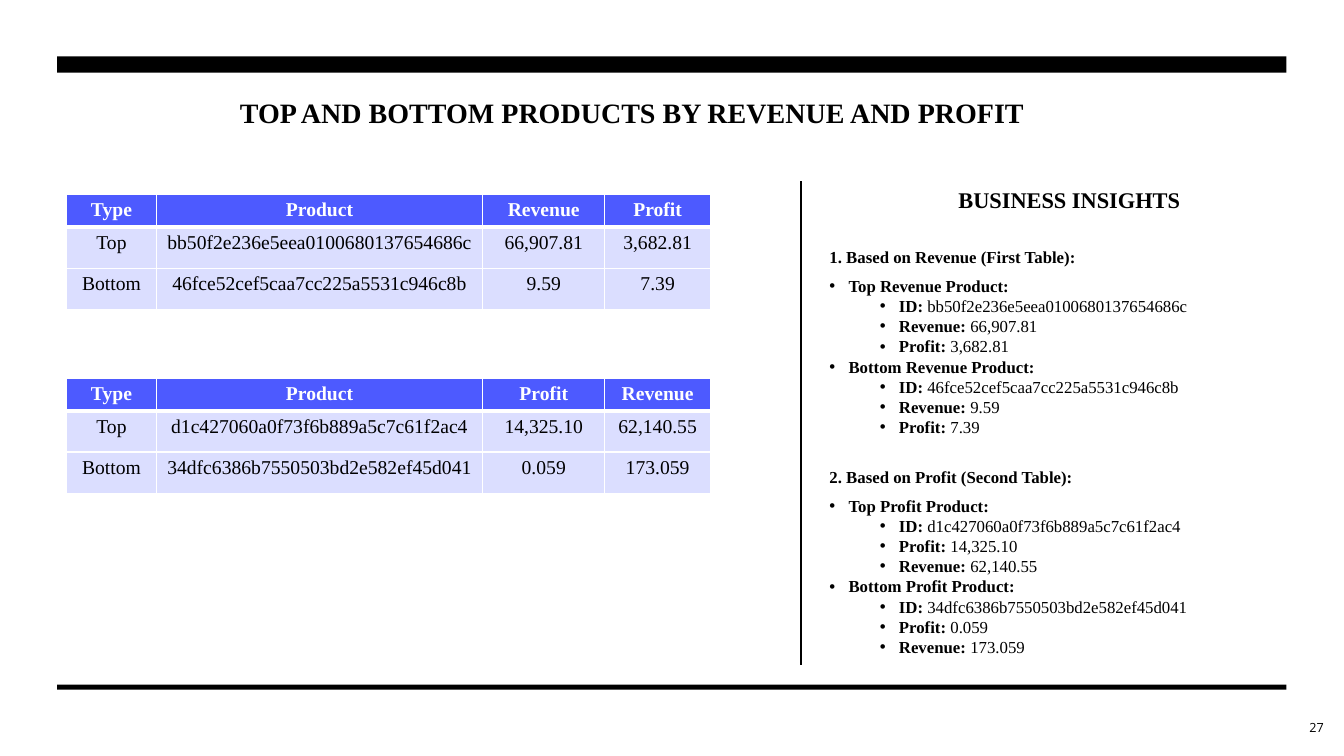
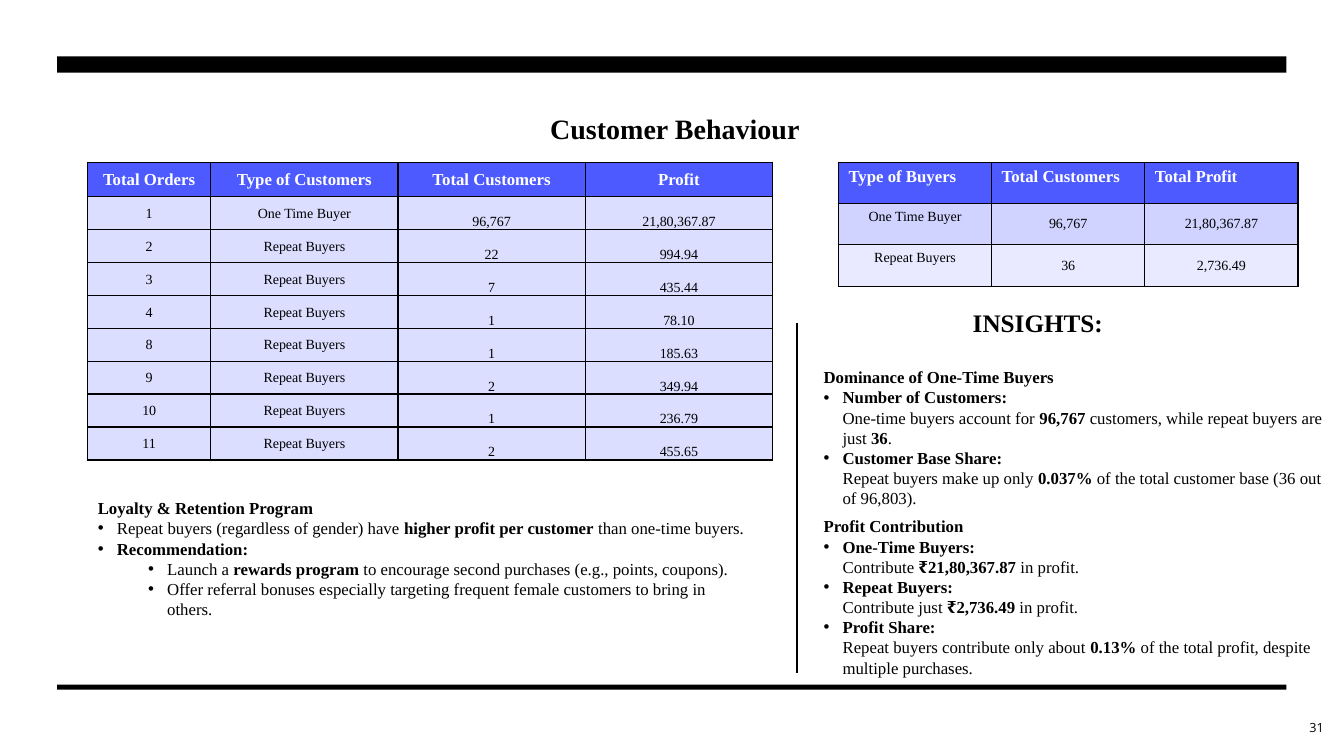
import pptx
import pptx.dml.color
import pptx.enum.shapes
import pptx.enum.text
import pptx.oxml
import pptx.oxml.ns
import pptx.util
from pptx.util import Cm

SERIF = "Times New Roman"
SANS = "Open Sans"
BLACK, WHITE = "000000", "FFFFFF"
HEADER_BLUE, PALE_BLUE = "4D5AFF", "DBDEFF"
STRIPE_DARK, STRIPE_LIGHT = "D0D2FF", "E9EAFF"

ALIGN = pptx.enum.text.PP_ALIGN
ANCHOR = pptx.enum.text.MSO_ANCHOR
COMPARISON_LAYOUT = 4
HEADING, LIST_A, LIST_B, LIST_C = 1, 2, 4, 3  # placeholder indexes of the layout


# Formatting helpers
def rgb(hex_color):
    return pptx.dml.color.RGBColor.from_string(hex_color)


def write(paragraph, text, size=12, color=BLACK, font=SERIF, bold=False, align=ALIGN.LEFT):
    """Write text into a paragraph; **marked** parts are bold, \\n breaks the line."""
    paragraph.alignment = align
    paragraph.space_before = pptx.util.Pt(0)
    for part_number, part in enumerate(text.split("**")):
        for line_number, line in enumerate(part.split("\n")):
            if line_number:
                paragraph.add_line_break()
            if line:
                run = paragraph.add_run()
                run.text = line
                run.font.size = pptx.util.Pt(size)
                run.font.name = font
                run.font.bold = bold or part_number % 2 == 1
                run.font.color.rgb = rgb(color)


def set_bullet(paragraph, level):
    """Level 0 is a plain heading, 1 a bullet, 2 a nested bullet."""
    properties = paragraph._p.get_or_add_pPr()
    margin, hanging = [(0, 0), (0.48, 0.48), (1.75, 0.48)][level]
    properties.set("marL", str(Cm(margin)))
    properties.set("indent", str(-Cm(hanging)))
    if level == 0:
        pptx.oxml.ns.qn("a:buNone")
        bullet = '<a:buNone %s/>'
    else:
        bullet = '<a:buChar %s char="•"/>'
    properties.append(pptx.oxml.parse_xml(bullet % pptx.oxml.ns.nsdecls("a")))


def set_borders(cell, color, widths):
    """Widths are in points, in the order left, right, top, bottom."""
    properties = cell._tc.get_or_add_tcPr()
    for side, width in zip("LRTB", widths):
        properties.append(pptx.oxml.parse_xml(
            f'<a:ln{side} {pptx.oxml.ns.nsdecls("a")} w="{pptx.util.Pt(width)}">'
            f'<a:solidFill><a:srgbClr val="{color}"/></a:solidFill></a:ln{side}>'))


def place(shape, left, top, width, height):
    shape.left, shape.top, shape.width, shape.height = (
        Cm(left), Cm(top), Cm(width), Cm(height))


def prepare_frame(shape, anchor=ANCHOR.TOP):
    frame = shape.text_frame
    frame.word_wrap = True
    frame.auto_size = pptx.enum.text.MSO_AUTO_SIZE.NONE
    frame.vertical_anchor = anchor
    return frame


# Elements of a slide
def fill_heading(placeholder, box, text, size):
    place(placeholder, *box)
    write(prepare_frame(placeholder).paragraphs[0], text, size=size, bold=True)


def fill_list(placeholder, box, items, heading_gap=0):
    place(placeholder, *box)
    frame = prepare_frame(placeholder)
    for number, (level, text) in enumerate(items):
        paragraph = frame.add_paragraph() if number else frame.paragraphs[0]
        write(paragraph, text, bold=level == 0)
        paragraph.space_after = pptx.util.Pt(0 if level else heading_gap)
        paragraph.level = max(level - 1, 0)
        set_bullet(paragraph, level)


def add_divider(slide, x, top, bottom):
    divider = slide.shapes.add_connector(
        pptx.enum.shapes.MSO_CONNECTOR.STRAIGHT, Cm(x), Cm(top), Cm(x), Cm(bottom))
    divider.line.color.rgb = rgb(BLACK)
    divider.line.width = pptx.util.Pt(1.5)
    divider.element.find(pptx.oxml.ns.qn("p:spPr")).append(
        pptx.oxml.parse_xml(f'<a:effectLst {pptx.oxml.ns.nsdecls("a")}/>'))


def add_page_number(slide, number):
    box = slide.shapes.add_textbox(Cm(31.83), Cm(17.83), Cm(1.78), Cm(1.02))
    frame = prepare_frame(box, ANCHOR.MIDDLE)
    write(frame.paragraphs[0], str(number), size=9, font=SANS, align=ALIGN.RIGHT)


def add_data_table(slide, left, top, widths, heights, rows, header_size, body_size,
                   stripes=(PALE_BLUE,), border=BLACK, header_rule=1,
                   header_align=ALIGN.CENTER, header_anchor=ANCHOR.TOP,
                   anchors=(ANCHOR.TOP,) * 4, tight=False):
    table = slide.shapes.add_table(
        len(rows), len(widths), Cm(left), Cm(top), Cm(sum(widths)), Cm(sum(heights))).table
    table.horz_banding = False
    for column, width in zip(table.columns, widths):
        column.width = Cm(width)
    for r, values in enumerate(rows):
        header = r == 0
        table.rows[r].height = Cm(heights[r])
        for c, value in enumerate(values):
            cell = table.cell(r, c)
            set_borders(cell, border, (1, 1, header_rule if r == 1 else 1,
                                       header_rule if header else 1))
            cell.fill.solid()
            cell.fill.fore_color.rgb = rgb(
                HEADER_BLUE if header else stripes[(r - 1) % len(stripes)])
            cell.vertical_anchor = header_anchor if header else anchors[c]
            if tight:
                cell.margin_left = cell.margin_right = cell.margin_top = Cm(0.03)
                cell.margin_bottom = 0
            write(cell.text_frame.paragraphs[0], value,
                  size=header_size if header else body_size,
                  color=WHITE if header else BLACK, bold=header,
                  align=header_align if header else ALIGN.CENTER)


# Shared frame: two black bands on the layout
def add_bands(layout, slide):
    for footer in [p for p in layout.placeholders if p.placeholder_format.idx >= 10]:
        footer.element.getparent().remove(footer.element)
    for top, height in ((1.42, 0.41), (17.25, 0.13)):
        band = slide.shapes.add_shape(
            pptx.enum.shapes.MSO_SHAPE.RECTANGLE, Cm(1.44), Cm(top), Cm(30.98), Cm(height))
        band.shadow.inherit = False
        band.fill.solid()
        band.fill.fore_color.rgb = rgb(BLACK)
        band.line.fill.background()
        layout.shapes.element.append(band.element)


def insight_items(heading, measure, measures, products):
    items = [(0, heading)]
    for rank, _, *values in products:
        items.append((1, f"**{rank} {measure} Product:**"))
        items.append((2, f"**ID:** {_}"))
        items += [(2, f"**{name}:** {value}") for name, value in zip(measures, values)]
    return items


# Slides
def build_products(slide):
    fill_heading(slide.shapes.title, (5.79, 2.29, 26.92, 1.12),
                 "TOP AND BOTTOM PRODUCTS BY REVENUE AND PROFIT", 20)
    add_divider(slide, 20.19, 4.57, 16.76)
    fill_heading(slide.placeholders[HEADING], (23.9, 4.57, 9.9, 0.94), "BUSINESS INSIGHTS", 16)

    rankings = [
        ("1. Based on Revenue (First Table):", ("Revenue", "Profit"), 4.9, LIST_A, 6.1,
         [("Top", "bb50f2e236e5eea0100680137654686c", "66,907.81", "3,682.81"),
          ("Bottom", "46fce52cef5caa7cc225a5531c946c8b", "9.59", "7.39")]),
        ("2. Based on Profit (Second Table):", ("Profit", "Revenue"), 9.53, LIST_B, 11.64,
         [("Top", "d1c427060a0f73f6b889a5c7c61f2ac4", "14,325.10", "62,140.55"),
          ("Bottom", "34dfc6386b7550503bd2e582ef45d041", "0.059", "173.059")]),
    ]
    for heading, measures, table_top, list_index, list_top, products in rankings:
        add_data_table(slide, 1.68, table_top, (2.26, 8.23, 3.07, 2.67), (0.82, 1.04, 1.04),
                       [("Type", "Product", *measures), *products], 14, 14,
                       border=WHITE, header_rule=3)
        fill_list(slide.placeholders[list_index], (20.65, list_top, 12.37, 5.08),
                  insight_items(heading, measures[0], measures, products), heading_gap=6)
    unused = slide.placeholders[LIST_C].element
    unused.getparent().remove(unused)


def build_behaviour(slide):
    fill_heading(slide.shapes.title, (13.61, 2.69, 16.92, 1.12), "Customer Behaviour", 20)

    # Customers by number of orders
    orders = [("1", "96,767", "21,80,367.87"), ("2", "22", "994.94"), ("3", "7", "435.44"),
              ("4", "1", "78.10"), ("8", "1", "185.63"), ("9", "2", "349.94"),
              ("10", "1", "236.79"), ("11", "2", "455.65")]
    order_rows = [("Total Orders", "Type of Customers", "Total Customers", "Profit")]
    order_rows += [(count, "One Time Buyer" if count == "1" else "Repeat Buyers",
                    customers, profit) for count, customers, profit in orders]
    add_data_table(slide, 2.21, 4.09, (3.1, 4.72, 4.72, 4.72), (0.86,) + (0.83,) * 8,
                   order_rows, 12, 10, header_anchor=ANCHOR.MIDDLE, tight=True,
                   anchors=(ANCHOR.MIDDLE,) * 2 + (ANCHOR.BOTTOM,) * 2)

    # One-time against repeat buyers
    add_data_table(slide, 21.13, 4.09, (3.86,) * 3, (1.04,) * 3,
                   [("Type of Buyers", "Total Customers", "Total Profit"),
                    ("One Time Buyer", "96,767", "21,80,367.87"),
                    ("Repeat Buyers", "36", "2,736.49")],
                   12, 10, stripes=(STRIPE_DARK, STRIPE_LIGHT), header_align=ALIGN.LEFT,
                   anchors=(ANCHOR.TOP, ANCHOR.MIDDLE, ANCHOR.MIDDLE))

    # Insights
    add_divider(slide, 20.09, 8.13, 16.97)
    fill_heading(slide.placeholders[HEADING], (24.26, 7.62, 9.6, 1.02), "INSIGHTS:", 18)
    fill_list(slide.placeholders[LIST_A], (20.5, 9.12, 13.11, 3.84), [
        (0, "Dominance of One-Time Buyers"),
        (1, "**Number of Customers:**\nOne-time buyers account for **96,767** customers, "
            "while repeat buyers are just **36**."),
        (1, "**Customer Base Share:**\nRepeat buyers make up only **0.037%** of the total "
            "customer base (36 out of 96,803)."),
    ])
    fill_list(slide.placeholders[LIST_B], (20.5, 12.88, 13.36, 4.37), [
        (0, "Profit Contribution"),
        (1, "**One-Time Buyers:**\nContribute **₹21,80,367.87** in profit."),
        (1, "**Repeat Buyers:**\nContribute just **₹2,736.49** in profit."),
        (1, "**Profit Share:**\nRepeat buyers contribute only about **0.13%** of the total "
            "profit, despite multiple purchases."),
    ])
    fill_list(slide.placeholders[LIST_C], (2.21, 12.42, 16.92, 3.33), [
        (0, "Loyalty & Retention Program"),
        (1, "Repeat buyers (regardless of gender) have **higher profit per customer** "
            "than one-time buyers."),
        (1, "**Recommendation:**"),
        (2, "Launch a **rewards program** to encourage second purchases "
            "(e.g., points, coupons)."),
        (2, "Offer referral bonuses especially targeting frequent female customers "
            "to bring in others."),
    ])


def main():
    deck = pptx.Presentation()
    deck.slide_width, deck.slide_height = Cm(33.87), Cm(19.05)
    layout = deck.slide_layouts[COMPARISON_LAYOUT]
    for page, build in ((27, build_products), (31, build_behaviour)):
        slide = deck.slides.add_slide(layout)
        if page == 27:
            add_bands(layout, slide)
        build(slide)
        add_page_number(slide, page)
    deck.save("out.pptx")


if __name__ == "__main__":
    main()
